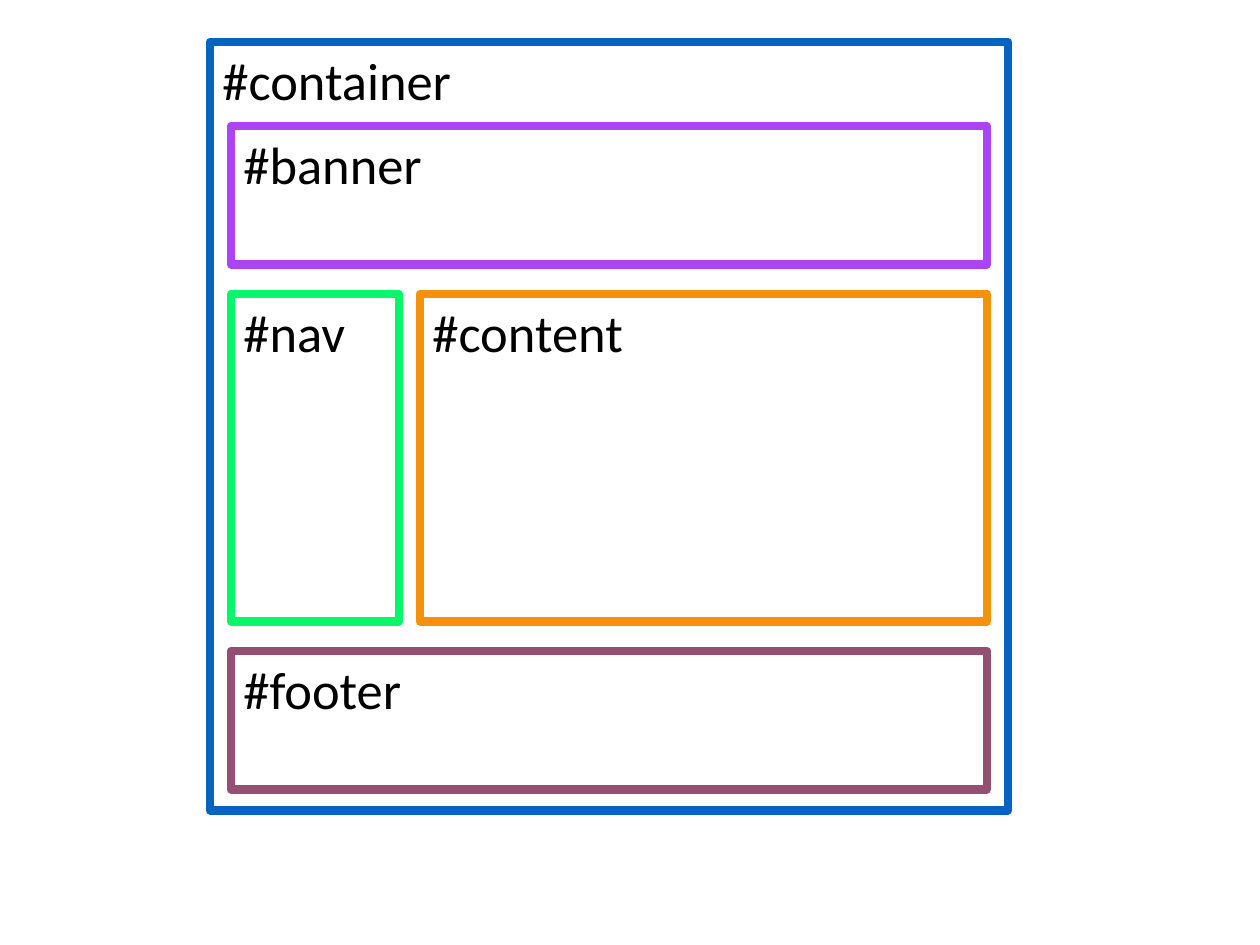
import pptx
import pptx.util
import pptx.dml.color
import pptx.enum.shapes
import pptx.enum.text

Pt = pptx.util.Pt
RGB = pptx.dml.color.RGBColor.from_string

# Content: rows of (height, [(label, width), ...]) inside the outer box
OUTER = "#container"
ROWS = [
    (79, [("#banner", 432)]),
    (187, [("#nav", 96), ("#content", 324)]),
    (79, [("#footer", 432)]),
]

THEME = {
    "font": "Calibri",
    "size": 30,
    "text": "000000",
    "line": 5,
    "edge": {
        "#container": "0563C1",
        "#banner": "AB44F4",
        "#nav": "07F768",
        "#content": "F5910A",
        "#footer": "954F72",
    },
}

# Layout
LEFT, TOP, WIDTH = 120, 24, 456
HEAD = 48     # room for the outer label
PAD = 12      # inset, and gap between columns
ROW_GAP = 17


def add_box(slide, label, left, top, width, height):
    box = slide.shapes.add_shape(
        pptx.enum.shapes.MSO_SHAPE.RECTANGLE,
        Pt(left), Pt(top), Pt(width), Pt(height))
    box.shadow.inherit = False
    box.fill.background()
    box.line.color.rgb = RGB(THEME["edge"][label])
    box.line.width = Pt(THEME["line"])
    frame = box.text_frame
    frame.text = label
    frame.word_wrap = True
    frame.vertical_anchor = pptx.enum.text.MSO_ANCHOR.TOP
    para = frame.paragraphs[0]
    para.alignment = pptx.enum.text.PP_ALIGN.LEFT
    font = para.runs[0].font
    font.name = THEME["font"]
    font.size = Pt(THEME["size"])
    font.color.rgb = RGB(THEME["text"])


def main():
    deck = pptx.Presentation()
    deck.slide_width, deck.slide_height = Pt(720), Pt(540)
    slide = deck.slides.add_slide(deck.slide_layouts[6])

    # Outer box, tall enough for all rows
    inner = sum(height for height, _ in ROWS) + ROW_GAP * (len(ROWS) - 1)
    add_box(slide, OUTER, LEFT, TOP, WIDTH, HEAD + inner + PAD)

    # Page sections, row by row
    top = TOP + HEAD
    for height, cells in ROWS:
        left = LEFT + PAD
        for label, width in cells:
            add_box(slide, label, left, top, width, height)
            left += width + PAD
        top += height + ROW_GAP

    deck.save("out.pptx")


if __name__ == "__main__":
    main()
